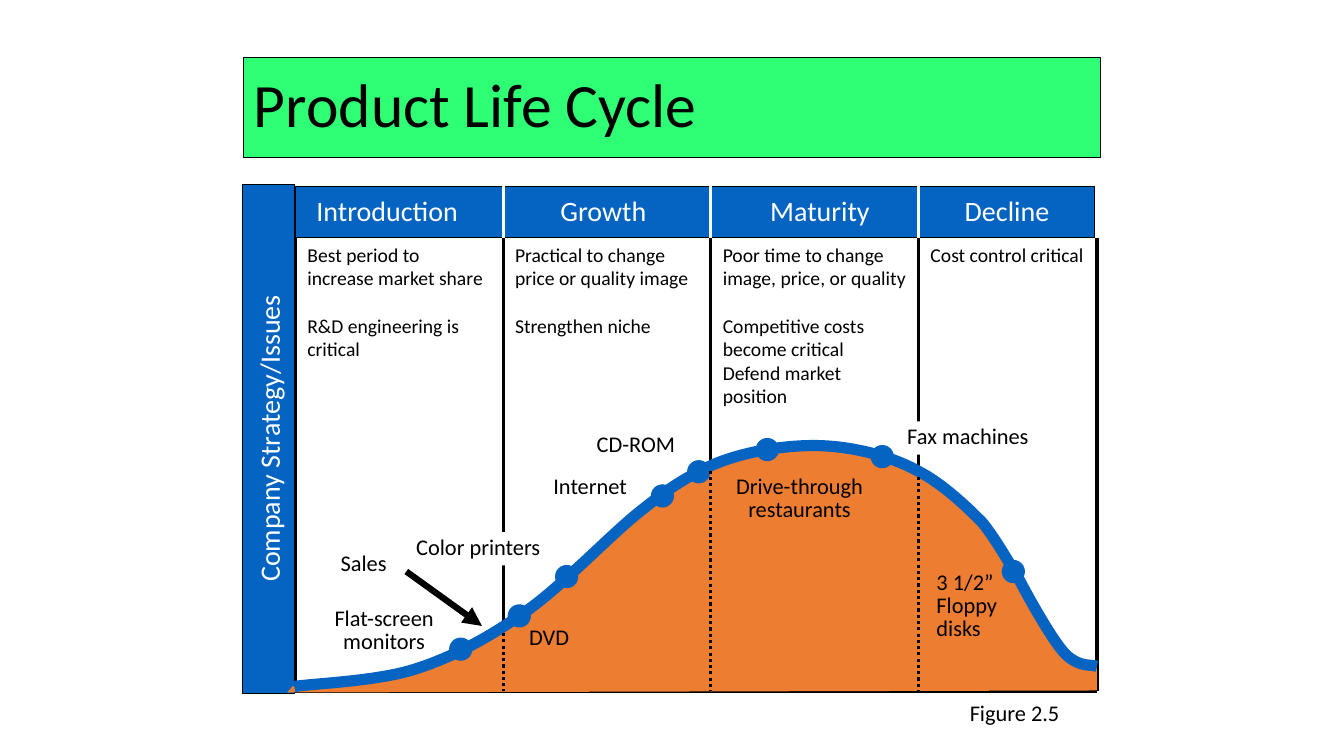
from lxml import etree
from pptx import Presentation
from pptx import util as u
from pptx.dml.color import RGBColor
from pptx.enum import dml, shapes, text
from pptx.oxml import ns

BLACK = RGBColor(0x00, 0x00, 0x00)
WHITE = RGBColor(0xFF, 0xFF, 0xFF)
GREEN = RGBColor(0x2F, 0xFF, 0x74)
BLUE = RGBColor(0x05, 0x63, 0xC1)
ORANGE = RGBColor(0xED, 0x7D, 0x31)

COLUMN = 2.06
HEADER = 0.51
STAGES = ["Introduction", "Growth", "Maturity", "Decline"]
STAGE_TABS = [2.42, 4.5, 6.43]
STRATEGIES = [
    (2.01, 1.28, ["Best period to increase market share", "R&D engineering is critical"]),
    (2.03, 1.04, ["Practical to change price or quality image", "Strengthen niche"]),
    (2.05, 1.75, ["Poor time to change image, price, or quality",
                  "Competitive costs become critical", "Defend market position"]),
    (1.75, 0.34, ["Cost control critical"]),
]
AREA = [
    (-0.08, 4.51), (-0.03, 4.45), (0.74, 4.37), (1.07, 4.32), (1.63, 4.08),
    (2.2, 3.74), (2.73, 3.31), (3.23, 2.88), (3.65, 2.54), (4, 2.3),
    (4.71, 2.08), (5.25, 2.06), (5.81, 2.16), (6.39, 2.45), (6.83, 2.87),
    (7.13, 3.29), (7.41, 3.82), (7.65, 4.16), (7.82, 4.23), (7.95, 4.26),
    (7.95, 4.49),
]
SALES_START = (-0.01, 4.45)
SALES_BENDS = [
    [(0.19, 4.42), (0.8, 4.4), (1.18, 4.28)],
    [(1.56, 4.16), (1.91, 3.97), (2.28, 3.71)],
    [(2.65, 3.45), (3.11, 2.96), (3.41, 2.72)],
    [(3.71, 2.48), (3.85, 2.39), (4.1, 2.27)],
    [(4.35, 2.15), (4.76, 2.06), (5.14, 2.06)],
    [(5.52, 2.06), (5.92, 2.17), (6.17, 2.31)],
    [(6.43, 2.44), (6.69, 2.7), (6.81, 2.82)],
    [(6.92, 2.95), (7.08, 3.22), (7.19, 3.41)],
    [(7.29, 3.6), (7.54, 4.05), (7.66, 4.15)],
    [(7.79, 4.26), (7.89, 4.23), (7.95, 4.25)],
]
MARKERS = [(1.53, 3.97), (2.11, 3.64), (2.58, 3.25), (3.53, 2.45),
           (3.89, 2.21), (4.57, 1.99), (5.71, 2.06), (7.01, 3.2)]
PRODUCTS = [
    ("Internet", 2.46, 2.32, 1.08, 0.33, WHITE, None),
    ("Flat-screen monitors", 0.18, 3.63, 1.4, 0.56, None, text.PP_ALIGN.CENTER),
    ("Sales", 0.35, 3.08, 0.81, 0.33, None, None),
    ("DVD", 2.22, 3.81, 0.72, 0.33, None, None),
    ("CD-ROM", 2.89, 1.9, 1.15, 0.33, None, None),
    ("Drive-through restaurants", 4.14, 2.32, 1.72, 0.56, None, text.PP_ALIGN.CENTER),
    ("Fax machines", 5.97, 1.82, 1.7, 0.33, WHITE, None),
    ("3 1/2” Floppy disks", 6.26, 3.27, 0.94, 0.78, None, None),
    ("Color printers", 1.1, 2.92, 1.7, 0.33, WHITE, None),
]
DOTTED = [(COLUMN, 3.92), (2 * COLUMN, 2.31), (3 * COLUMN, 2.37)]


def paint(shape, fill, outline=None, weight=0.75):
    """Set fill and outline of a shape, where None means invisible."""
    shape.shadow.inherit = False
    for part, color in ((shape.fill, fill), (shape.line.fill, outline)):
        if color is None:
            part.background()
        else:
            part.solid()
            part.fore_color.rgb = color
    if outline is not None:
        shape.line.width = u.Pt(weight)
    return shape


def add_block(slide, kind, left, top, width, height, fill, outline=None):
    """Add a painted preset shape."""
    block = slide.shapes.add_shape(kind, *map(u.Inches, (left, top, width, height)))
    return paint(block, fill, outline)


def write(shape, words, size, color=BLACK, align=None, spacing=None,
          anchor=text.MSO_ANCHOR.TOP):
    """Write paragraphs into a shape and format them."""
    frame = shape.text_frame
    frame.word_wrap = True
    frame.vertical_anchor = anchor
    frame.text = words
    for paragraph in frame.paragraphs:
        paragraph.alignment = align or text.PP_ALIGN.LEFT
        paragraph.line_spacing = spacing
        for run in paragraph.runs:
            run.font.name = "Calibri"
            run.font.size = u.Pt(size)
            run.font.color.rgb = color
    return frame


def add_text(slide, words, left, top, width, height, size, **style):
    """Add a text box with formatted words."""
    box = slide.shapes.add_textbox(*map(u.Inches, (left, top, width, height)))
    return write(box, words, size, **style)


def add_line(slide, start, end, color=BLACK, weight=2.25):
    """Add a straight line without a shadow."""
    line = slide.shapes.add_connector(
        shapes.MSO_CONNECTOR.STRAIGHT, *map(u.Inches, (*start, *end)))
    line.line.color.rgb = color
    line.line.width = u.Pt(weight)
    etree.SubElement(line._element.spPr, ns.qn("a:effectLst"))
    return line


def add_outline(slide, left, top, points, close):
    """Add a freeform through points given relative to left and top."""
    corners = [(u.Inches(left + x), u.Inches(top + y)) for x, y in points]
    builder = slide.shapes.build_freeform(*corners[0])
    builder.add_line_segments(corners[1:], close=close)
    return builder.convert_to_shape()


def add_curve(slide, left, top, start, bends):
    """Add an open freeform whose segments are cubic curves."""
    curve = add_outline(slide, left, top, [start] + [bend[-1] for bend in bends], False)
    segments = list(curve._element.iter(ns.qn("a:lnTo")))
    for segment, bend in zip(segments, bends):
        cubic = etree.Element(ns.qn("a:cubicBezTo"))
        for x, y in bend:
            etree.SubElement(cubic, ns.qn("a:pt"),
                             x=str(u.Inches(left + x) - curve.left),
                             y=str(u.Inches(top + y) - curve.top))
        segment.getparent().replace(segment, cubic)
    return curve


def add_title(slide, left, top, width, height):
    """Add the title banner."""
    banner = add_block(slide, shapes.MSO_SHAPE.RECTANGLE, left, top, width, height,
                       GREEN, BLACK)
    write(banner, "Product Life Cycle", 44, spacing=0.9, anchor=text.MSO_ANCHOR.MIDDLE)


def add_strategies(slide, left, top, width, height):
    """Add the stage columns, their strategies and the side strip."""
    for column, (issue_width, issue_height, issues) in enumerate(STRATEGIES):
        frame = add_text(slide, "\n".join(issues), left + column * COLUMN + 0.02, top,
                         issue_width, issue_height, 14)
        if len(issues) > 1:
            frame.paragraphs[1].space_before = u.Pt(17)
    for x in [left + column * COLUMN for column in range(4)] + [left + width]:
        add_line(slide, (x, top), (x, top + height))
    strip = add_block(slide, shapes.MSO_SHAPE.RECTANGLE, left - 2.79, top + 1.73,
                      5.05, 0.52, BLUE, BLACK)
    strip.rotation = 270
    write(strip, "Company Strategy/Issues", 20, WHITE, text.PP_ALIGN.CENTER,
          anchor=text.MSO_ANCHOR.MIDDLE)
    add_line(slide, (left, top + height), (left + width, top + height))


def add_stages(slide, left, top, width, height):
    """Add the header band with the four stage names."""
    add_block(slide, shapes.MSO_SHAPE.RECTANGLE, left, top, width, height, BLUE, BLACK)
    names = add_text(slide, "\t".join(STAGES), left + 0.11, top + 0.02, 7.56, 0.43,
                     20, color=WHITE)
    tabs = etree.SubElement(names.paragraphs[0]._p.get_or_add_pPr(), ns.qn("a:tabLst"))
    for stop in STAGE_TABS:
        etree.SubElement(tabs, ns.qn("a:tab"), pos=str(u.Inches(stop)), algn="l")
    for column in range(1, 4):
        x = left + column * COLUMN
        add_line(slide, (x, top), (x, top + height), WHITE)


def add_sales_curve(slide, left, top, height):
    """Add the sales area, product labels, curve and markers."""
    paint(add_outline(slide, left, top, AREA, True), ORANGE)
    for words, x, y, w, h, fill, align in PRODUCTS:
        place = (left + x, top + y, w, h)
        if fill is None:
            add_text(slide, words, *place, 16, align=align, spacing=0.85)
        else:
            label = add_block(slide, shapes.MSO_SHAPE.RECTANGLE, *place, fill)
            write(label, words, 16, align=align, spacing=0.85)
    arrow = add_line(slide, (left + 1.1, top + 3.31), (left + 1.85, top + 3.85), weight=4.5)
    etree.SubElement(arrow.line._get_or_add_ln(), ns.qn("a:tailEnd"), type="triangle")
    paint(add_curve(slide, left, top, SALES_START, SALES_BENDS), None, BLUE, 8)
    for x, y in MARKERS:
        add_block(slide, shapes.MSO_SHAPE.OVAL, left + x, top + y, 0.22, 0.22, BLUE, BLUE)
    for x, y in DOTTED:
        divider = add_line(slide, (left + x, top + y), (left + x, top + height))
        divider.line.dash_style = dml.MSO_LINE.ROUND_DOT


def main():
    """Build and save the slide."""
    deck = Presentation()
    deck.slide_width, deck.slide_height = u.Inches(13.33), u.Inches(7.5)
    slide = deck.slides.add_slide(deck.slide_layouts[6])
    left, top, width, height = 2.93, 2.36, 7.95, 4.5
    add_title(slide, 2.42, 0.57, 8.5, 0.99)
    add_strategies(slide, left, top, width, height)
    add_stages(slide, left, top - HEADER, width - 0.02, HEADER)
    add_sales_curve(slide, left, top, height)
    add_text(slide, "Figure 2.5", 9.52, 6.89, 1.1, 0.37, 16)
    deck.save("out.pptx")


if __name__ == "__main__":
    main()
